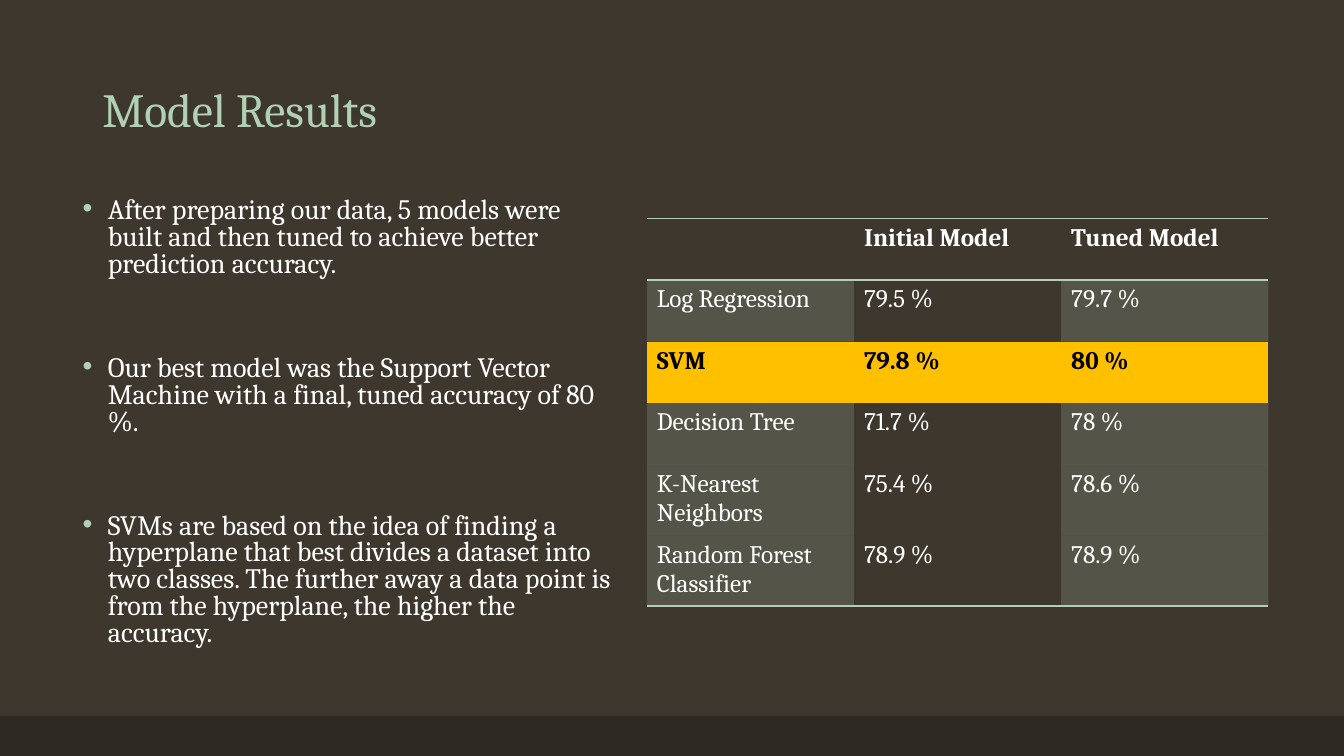
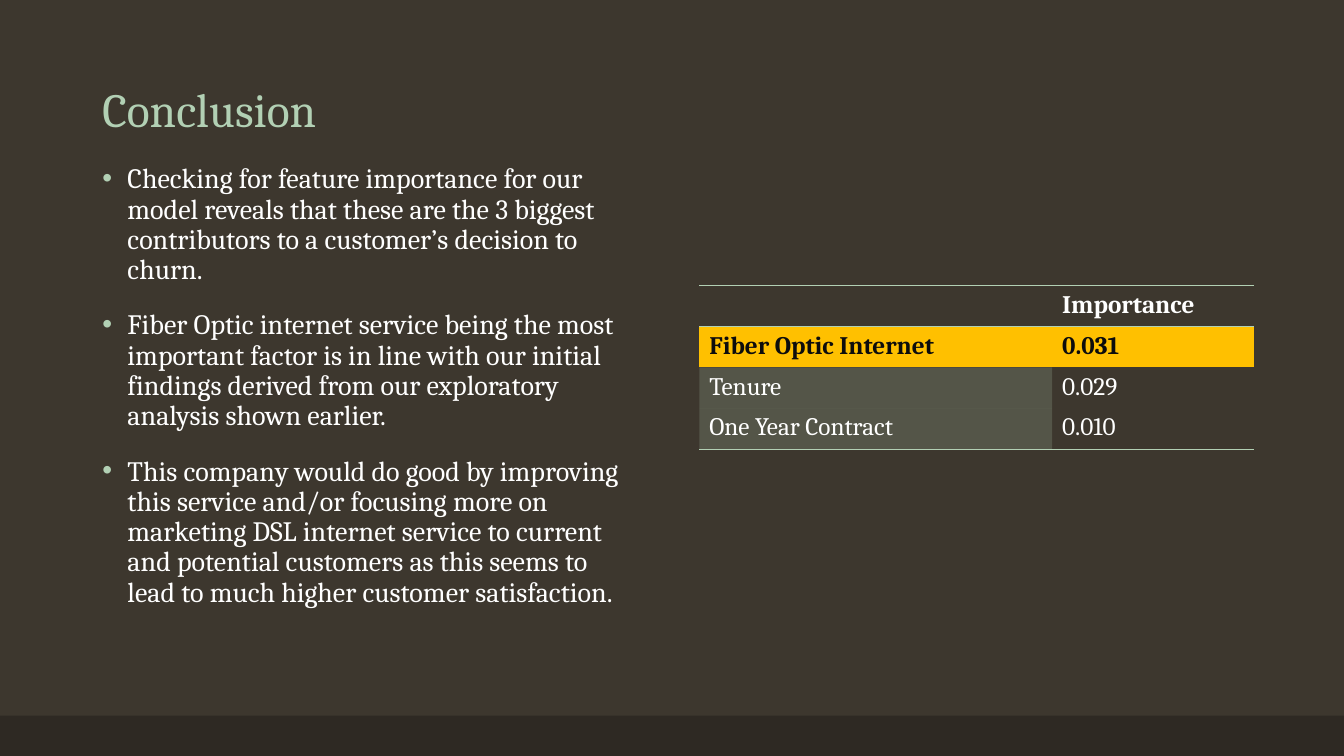
from lxml.etree import SubElement
from pptx import Presentation
from pptx.dml.color import RGBColor
from pptx.enum.shapes import MSO_SHAPE
from pptx.enum.text import MSO_ANCHOR
from pptx.oxml.ns import qn
from pptx.util import Pt

COLORS = {
    "background": "3D372E",
    "band": "2E2923",
    "accent": "B2D0B4",
    "text": "FFFFFF",
    "highlight": "FFC000",
    "black": "000000",
    "near_black": "0D0D0D",
}
FONT = "Cambria"
SLIDE_WIDTH, SLIDE_HEIGHT = 960, 540
BAND_HEIGHT = 28.8
BULLET_INDENT = 18
SHADE_ALPHA = 20
PLAIN_TABLE_STYLE = "{2D5ABB26-0587-4C30-8999-92F81FD0307C}"

MODEL_POINTS = [
    "After preparing our data, 5 models were built and then tuned to achieve "
    "better prediction accuracy.",
    "Our best model was the Support Vector Machine with a final, tuned "
    "accuracy of 80 %.",
    "SVMs are based on the idea of finding a hyperplane that best divides a "
    "dataset into two classes. The further away a data point is from the "
    "hyperplane, the higher the accuracy.",
]
MODEL_ROWS = [
    ["", "Initial Model", "Tuned Model"],
    ["Log Regression", "79.5 %", "79.7 %"],
    ["SVM", "79.8 %", "80 %"],
    ["Decision Tree", "71.7 %", "78 %"],
    ["K-Nearest\nNeighbors", "75.4 %", "78.6 %"],
    ["Random Forest Classifier", "78.9 %", "78.9 %"],
]
CONCLUSION_POINTS = [
    "Checking for feature importance for our model reveals that these are the "
    "3 biggest contributors to a customer’s decision to churn.",
    "Fiber Optic internet service being the most important factor is in line "
    "with our initial findings derived from our exploratory analysis shown "
    "earlier.",
    "This company would do good by improving this service and/or focusing more "
    "on marketing DSL internet service to current and potential customers as "
    "this seems to lead to much higher customer satisfaction.",
]
IMPORTANCE_ROWS = [
    ["", "Importance"],
    ["Fiber Optic Internet", "0.031"],
    ["Tenure", "0.029"],
    ["One Year Contract", "0.010"],
]


def rgb(color):
    return RGBColor.from_string(COLORS[color])


def paint(fill, color):
    fill.solid()
    fill.fore_color.rgb = rgb(color)


def style_runs(paragraph, size, color, bold=False):
    for run in paragraph.runs:
        run.font.name = FONT
        run.font.size = Pt(size)
        run.font.bold = bold
        run.font.color.rgb = rgb(color)


def add_text_frame(slide, left, top, width, height):
    box = slide.shapes.add_textbox(Pt(left), Pt(top), Pt(width), Pt(height))
    box.text_frame.word_wrap = True
    return box.text_frame


def add_titled_slide(prs, title):
    """Add a blank slide with the shared background, bottom band and title."""
    slide = prs.slides.add_slide(prs.slide_layouts[6])
    paint(slide.background.fill, "background")

    band = slide.shapes.add_shape(
        MSO_SHAPE.RECTANGLE, 0, Pt(SLIDE_HEIGHT - BAND_HEIGHT),
        Pt(SLIDE_WIDTH), Pt(BAND_HEIGHT))
    band.shadow.inherit = False
    paint(band.fill, "band")
    band.line.fill.background()

    frame = add_text_frame(slide, 66, 48, 828, 54)
    frame.vertical_anchor = MSO_ANCHOR.BOTTOM
    frame.text = title
    heading = frame.paragraphs[0]
    heading.line_spacing = 0.9
    style_runs(heading, 34, "accent")
    return slide


def add_bullet(paragraph):
    properties = paragraph._p.get_or_add_pPr()
    properties.set("marL", str(Pt(BULLET_INDENT)))
    properties.set("indent", str(-Pt(BULLET_INDENT)))
    bullet_color = SubElement(properties, qn("a:buClr"))
    SubElement(bullet_color, qn("a:srgbClr"), val=COLORS["accent"])
    SubElement(properties, qn("a:buFont"), typeface="Arial")
    SubElement(properties, qn("a:buChar"), char="•")


def add_bullets(slide, points, left, top, height, line_spacing, gap):
    frame = add_text_frame(slide, left, top, 396, height)
    frame.text = "\n".join(points)
    for index, paragraph in enumerate(frame.paragraphs):
        paragraph.line_spacing = line_spacing
        paragraph.space_before = Pt(gap if index else 0)
        add_bullet(paragraph)
        style_runs(paragraph, 20, "text")


def add_border(cell, side):
    line = SubElement(cell._tc.get_or_add_tcPr(), qn(f"a:{side}"), w=str(Pt(1)))
    line_fill = SubElement(line, qn("a:solidFill"))
    SubElement(line_fill, qn("a:srgbClr"), val=COLORS["accent"])


def shade(cell):
    """Fill a cell with the translucent accent colour."""
    paint(cell.fill, "accent")
    color = cell._tc.tcPr.find(f"{qn('a:solidFill')}/{qn('a:srgbClr')}")
    SubElement(color, qn("a:alpha"), val=str(SHADE_ALPHA * 1000))


def add_results_table(slide, rows, left, top, column_widths, row_height,
                      best_row, best_color):
    """Add a ruled table with shaded odd columns and one highlighted row."""
    table = slide.shapes.add_table(
        len(rows), len(column_widths), Pt(left), Pt(top),
        Pt(sum(column_widths)), Pt(row_height * len(rows))).table
    table.first_row = table.horz_banding = False
    table._tbl.tblPr.find(qn("a:tableStyleId")).text = PLAIN_TABLE_STYLE
    for column, width in zip(table.columns, column_widths):
        column.width = Pt(width)

    for r, values in enumerate(rows):
        table.rows[r].height = Pt(row_height)
        is_header, is_best = r == 0, r == best_row
        for c, value in enumerate(values):
            cell = table.cell(r, c)
            cell.text = value
            for paragraph in cell.text_frame.paragraphs:
                style_runs(paragraph, 18, best_color if is_best else "text",
                           bold=is_header or is_best)
            if is_header:
                add_border(cell, "lnT")
            if is_header or r == len(rows) - 1:
                add_border(cell, "lnB")
            if is_best:
                paint(cell.fill, "highlight")
            elif not is_header and c % 2 == 0:
                shade(cell)
            else:
                cell.fill.background()


def add_model_results(prs):
    slide = add_titled_slide(prs, "Model Results")
    add_bullets(slide, MODEL_POINTS, left=52, top=138, height=343,
                line_spacing=0.8, gap=55)
    add_results_table(slide, MODEL_ROWS, left=462, top=156,
                      column_widths=[148] * 3, row_height=44,
                      best_row=2, best_color="black")


def add_conclusion(prs):
    slide = add_titled_slide(prs, "Conclusion")
    add_bullets(slide, CONCLUSION_POINTS, left=66, top=114, height=378,
                line_spacing=0.9, gap=18)
    add_results_table(slide, IMPORTANCE_ROWS, left=499.5, top=204,
                      column_widths=[252, 144], row_height=29.2,
                      best_row=1, best_color="near_black")


def main():
    prs = Presentation()
    prs.slide_width, prs.slide_height = Pt(SLIDE_WIDTH), Pt(SLIDE_HEIGHT)
    add_model_results(prs)
    add_conclusion(prs)
    prs.save("out.pptx")


if __name__ == "__main__":
    main()
